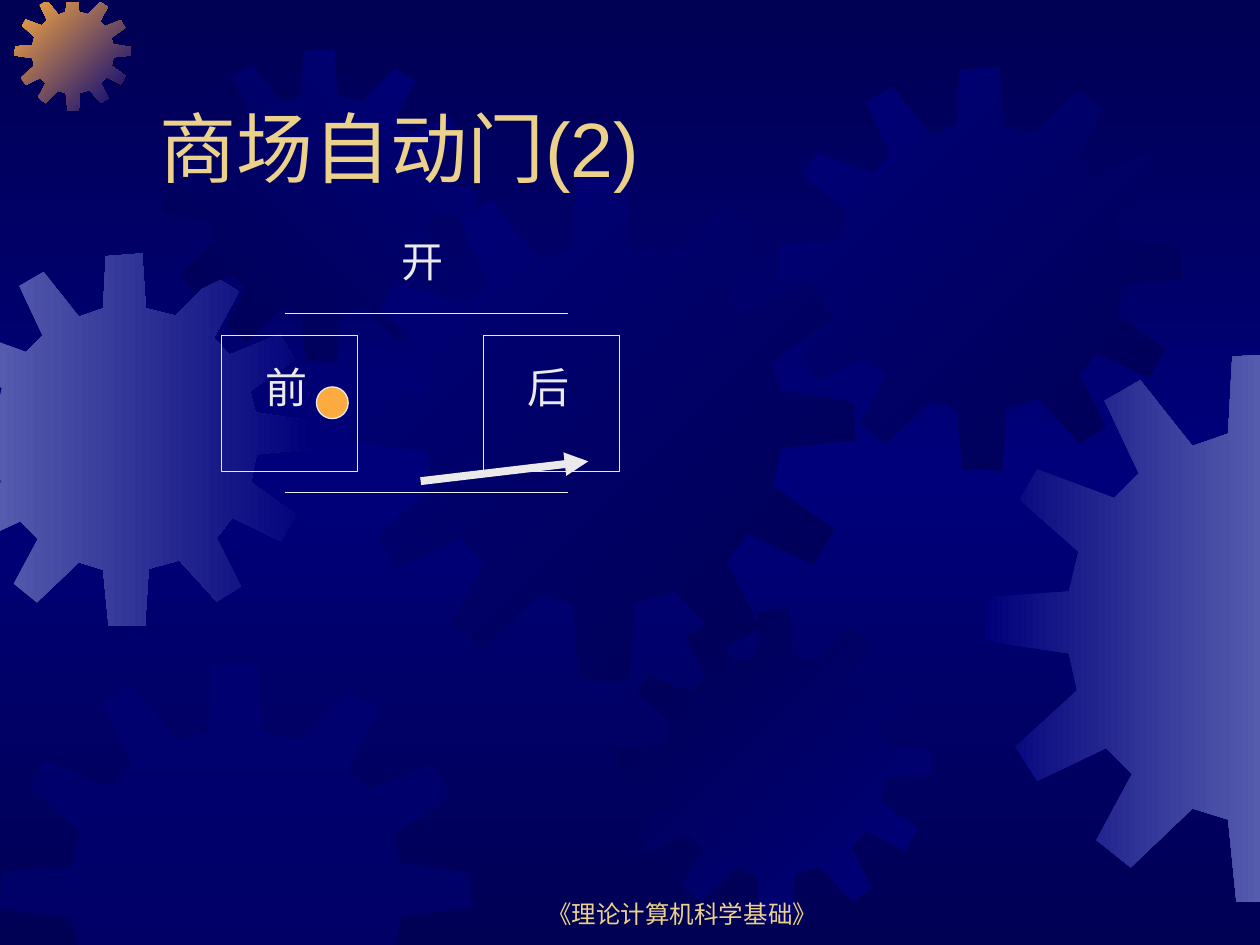
"""Build the slide on the automatic shop door, with gears behind the door sketch."""
from copy import deepcopy

from lxml.etree import SubElement
from pptx import Presentation
from pptx.dml.color import RGBColor as RGB
from pptx.enum.shapes import MSO_CONNECTOR as LINK, MSO_SHAPE as SHAPE
from pptx.enum.text import MSO_ANCHOR as ANCHOR, MSO_AUTO_SIZE as FIT, PP_ALIGN as ALIGN
from pptx.oxml.ns import qn
from pptx.util import Cm, Pt

HUES = {"dark": "000054", "blue": "00007A", "haze": "555BAD",
        "gold": "FCAB40", "sand": "EBD189", "pale": "EAEAEA"}
INK = {name: RGB.from_string(code) for name, code in HUES.items()}
WIDE, HIGH, TOP = 25.4, 19.05, 0.05
COG = [(255, 67), (223, 59), (219, 0), (180, 3), (177, 59), (151, 68), (113, 20), (87, 35),
       (112, 88), (94, 106), (38, 85), (25, 107), (68, 145), (61, 174), (1, 178), (0, 210),
       (61, 219), (67, 246), (22, 287), (38, 312), (88, 288), (107, 307), (81, 355), (106, 375),
       (151, 332), (177, 340), (183, 400), (222, 401), (226, 339), (259, 330), (299, 374),
       (325, 358), (299, 306), (316, 284), (368, 309), (384, 281), (336, 246), (342, 216),
       (401, 210), (400, 180), (341, 171), (335, 148), (383, 114), (367, 87), (313, 109),
       (296, 91), (323, 41), (297, 25)]
SPAN = 401


def clip(dots, axis, edge, sign):
    """Keep the part of a closed outline on one side of an edge."""
    kept = []
    for a, b in zip(dots[-1:] + dots[:-1], dots):
        start, end = sign * (a[axis] - edge), sign * (b[axis] - edge)
        if start * end < 0:
            part = start / (start - end)
            kept.append(tuple(p + part * (q - p) for p, q in zip(a, b)))
        if end >= 0:
            kept.append(b)
    return kept


def write(frame, text, size, font, hue):
    """Put one line of styled text in a frame."""
    frame.text = text
    face = frame.paragraphs[0].runs[0].font
    face.size, face.name, face.color.rgb = Pt(size), font, INK[hue]


deck = Presentation()
deck.slide_width, deck.slide_height = Cm(WIDE), Cm(HIGH)
slide = deck.slides.add_slide(deck.slide_layouts[5])
shapes = slide.shapes

back = slide.background.fill
back.gradient()
back.gradient_angle = 270
stops = slide.element.find(".//" + qn("a:gsLst"))
stops.insert(1, deepcopy(stops[0]))
for stop, place, hue in zip(back.gradient_stops, (0, 0.5, 1), ("dark", "blue", "dark")):
    stop.position, stop.color.rgb = place, INK[hue]

gears = [(-1.24, 5.11, 7.52, "haze", "blue", 0),
         (0.3, -0.1, 2.33, "gold", "blue", 45),
         (3.3, 0.99, 6.3, "dark", "blue", 315),
         (7.04, 3.53, 10.2, "blue", "dark", 45),
         (0, 13.34, 9.5, "blue", None, 0),
         (12.47, 12.29, 6.3, "dark", "blue", 45),
         (15.7, 1.35, 8.13, "blue", "dark", 45),
         (19.86, 7.11, 11.1, "blue", "haze", 0)]
for left, top, size, first, last, turn in gears:
    dots = [(left + x * size / SPAN, top + y * size / SPAN) for x, y in COG]
    for axis, edge, sign in ((0, 0, 1), (0, WIDE, -1), (1, TOP, 1), (1, HIGH, -1)):
        dots = clip(dots, axis, edge, sign)
    dots = [(Cm(x), Cm(y)) for x, y in dots]
    pen = shapes.build_freeform(*dots[0])
    pen.add_line_segments(dots[1:], close=True)
    gear = pen.convert_to_shape()
    gear.shadow.inherit = False
    gear.line.fill.background()
    if last:
        gear.fill.gradient()
        gear.fill.gradient_angle = (360 - turn) % 360
        for stop, hue in zip(gear.fill.gradient_stops, (first, last)):
            stop.color.rgb = INK[hue]
    else:
        gear.fill.solid()
        gear.fill.fore_color.rgb = INK[first]
        tint = gear.element.spPr.find(".//" + qn("a:srgbClr"))
        SubElement(tint, qn("a:alpha")).set("val", "50000")

title = shapes.title
title.element.getparent().append(title.element)
title.left, title.top, title.width, title.height = Cm(2.97), Cm(0.84), Cm(21.59), Cm(3.18)
write(title.text_frame, "商场自动门(2)", 44, "Arial", "sand")
title.text_frame.auto_size = FIT.NONE
title.text_frame.vertical_anchor = ANCHOR.BOTTOM
title.text_frame.paragraphs[0].alignment = ALIGN.LEFT

foot = shapes.add_textbox(Cm(9.73), Cm(17.58), Cm(8.05), Cm(1.27)).text_frame
foot.word_wrap = True
foot.vertical_anchor = ANCHOR.BOTTOM
write(foot, "《理论计算机科学基础》", 14, "Arial", "sand")
foot.paragraphs[0].alignment = ALIGN.CENTER

for kind, left, top, size in ((SHAPE.RECTANGLE, 4.47, 6.76, 2.74),
                              (SHAPE.RECTANGLE, 9.75, 6.76, 2.74),
                              (SHAPE.OVAL, 6.38, 7.8, 0.64)):
    part = shapes.add_shape(kind, Cm(left), Cm(top), Cm(size), Cm(size))
    part.shadow.inherit = False
    part.line.color.rgb, part.line.width = INK["pale"], Pt(0.75)
    if kind == SHAPE.OVAL:
        part.fill.solid()
        part.fill.fore_color.rgb = INK["gold"]
    else:
        part.fill.background()

for label, left, top in (("前", 5.11, 7.16), ("后", 10.39, 7.16), ("开", 7.85, 4.62)):
    frame = shapes.add_textbox(Cm(left), Cm(top), Cm(1.7), Cm(1.27)).text_frame
    frame.word_wrap = True
    frame.auto_size = FIT.SHAPE_TO_FIT_TEXT
    write(frame, label, 24, "Arial Narrow", "pale")

for x1, y1, x2, y2, width in ((5.74, 6.32, 11.46, 6.32, 0.75),
                              (5.74, 9.93, 11.46, 9.93, 0.75),
                              (8.48, 9.7, 11.86, 9.3, 4.5)):
    line = shapes.add_connector(LINK.STRAIGHT, Cm(x1), Cm(y1), Cm(x2), Cm(y2))
    line.line.color.rgb, line.line.width = INK["pale"], Pt(width)
    SubElement(line.element.spPr, qn("a:effectLst"))
swing = line.element.spPr.find(qn("a:ln"))
SubElement(swing, qn("a:tailEnd")).set("type", "triangle")

deck.save("out.pptx")
